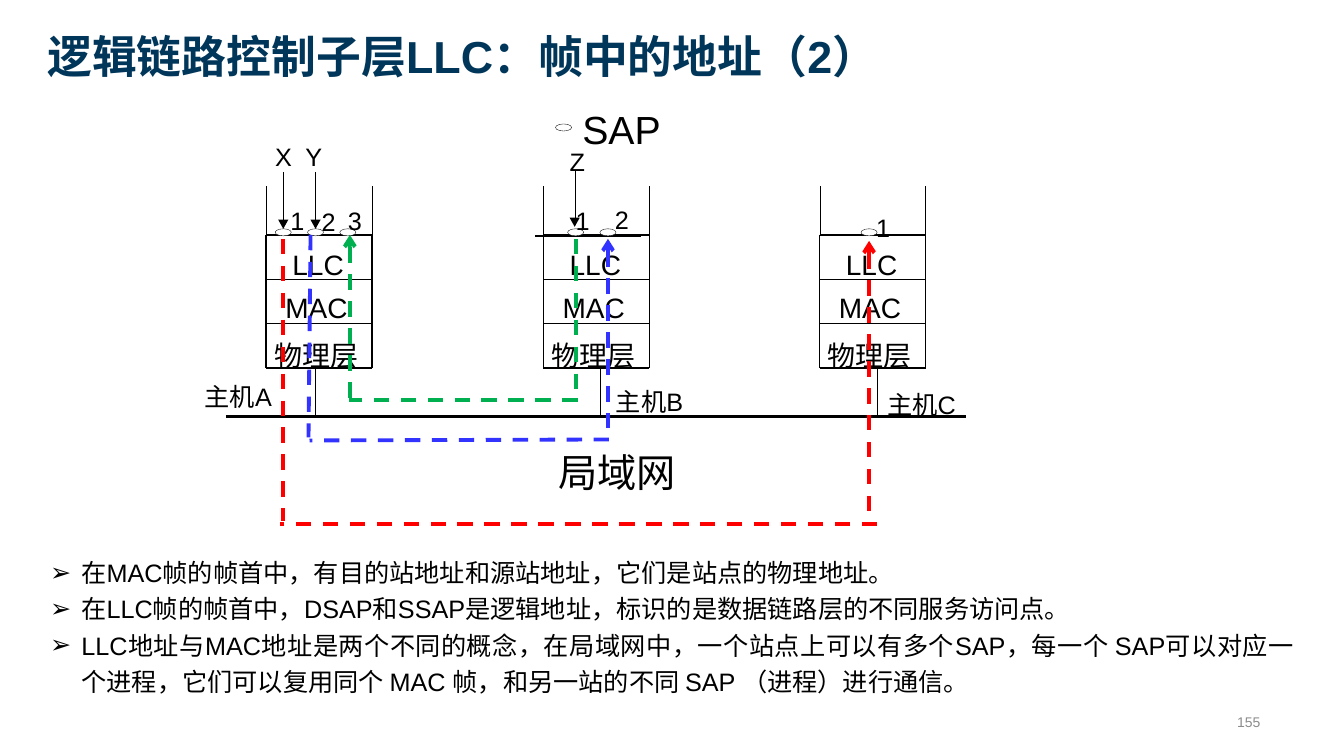
from dataclasses import dataclass

from lxml import etree
from pptx import Presentation
from pptx.dml.color import RGBColor
from pptx.enum import dml, lang, shapes, text
from pptx.oxml import ns

PX = 9144


@dataclass(frozen=True)
class Theme:
    font: str = "Arial"
    title: str = "003659"
    ink: str = "000000"
    paper: str = "FFFFFF"
    muted: str = "8C8C8C"
    red: str = "FF0000"
    blue: str = "3333FF"
    green: str = "00B050"
    title_size: int = 32
    large_size: int = 28
    layer_size: int = 20
    label_size: int = 18
    number_size: int = 10
    hair: float = 0.25
    thin: float = 0.55
    border: float = 1.05
    bus: float = 2.55
    route: float = 2.75


theme = Theme()
align = text.PP_ALIGN

presentation = Presentation()
presentation.slide_width = 1333 * PX
presentation.slide_height = 750 * PX
slide = presentation.slides.add_slide(presentation.slide_layouts[6])


def write(box, lines, size, color=theme.ink, alignment=align.JUSTIFY, wrap=True,
          anchor=text.MSO_ANCHOR.TOP, inset=0, spacing=1.2, bold=False, bullet=None):
    frame = slide.shapes.add_textbox(*(value * PX for value in box)).text_frame
    frame.word_wrap = wrap
    frame.vertical_anchor = anchor
    frame.margin_left = frame.margin_right = inset * PX
    frame.margin_top = frame.margin_bottom = inset // 2 * PX
    for index, line in enumerate(lines):
        paragraph = frame.add_paragraph() if index else frame.paragraphs[0]
        paragraph.alignment = alignment
        paragraph.line_spacing = spacing
        if bullet:
            properties = paragraph._p.get_or_add_pPr()
            properties.set("marL", str(31 * PX))
            properties.set("indent", str(-31 * PX))
            etree.SubElement(properties, ns.qn("a:buFont"), typeface=theme.font)
            etree.SubElement(properties, ns.qn("a:buChar"), char=bullet)
        run = paragraph.add_run()
        run.text = line
        run.font.name = theme.font
        run.font.size = int(size * 12700)
        run.font.bold = bold
        run.font.color.rgb = RGBColor.from_string(color)
        run.font.language_id = lang.MSO_LANGUAGE_ID.SIMPLIFIED_CHINESE


def draw_line(start_x, start_y, end_x, end_y, width, color=theme.ink, dashed=False, arrow=False):
    line = slide.shapes.add_connector(
        shapes.MSO_CONNECTOR.STRAIGHT, start_x * PX, start_y * PX, end_x * PX, end_y * PX)
    line.line.width = int(width * 12700)
    line.line.color.rgb = RGBColor.from_string(color)
    if dashed:
        line.line.dash_style = dml.MSO_LINE.DASH
    if arrow:
        etree.SubElement(line.line._get_or_add_ln(), ns.qn("a:headEnd"), type="arrow")
    etree.SubElement(line._element.spPr, ns.qn("a:effectLst"))


write((37, -11, 1188, 98), ["逻辑链路控制子层LLC：帧中的地址（2）"], theme.title_size, theme.title,
      align.LEFT, anchor=text.MSO_ANCHOR.BOTTOM, inset=10, bold=True)

stack_top, layer_height, stack_width = 233, 44, 105
stack_bottom = stack_top + 3 * layer_height
bus_y = 413
layers = [("LLC", 26, 239, 56), ("MAC", 19, 282, 66), ("物理层", 8, 329, 86)]
hosts = [
    (264, 313, "主机A", 203, 372, 67),
    (539, 595, "主机B", 611, 377, 67),
    (813, 870, "主机C", 880, 380, 69),
]
for left, drop_x, host, host_x, host_y, host_width in hosts:
    right = left + stack_width
    for layer, offset, top, width in layers:
        write((left + offset, top, width, 37), [layer], theme.layer_size, wrap=False)
    for row, weight in enumerate((theme.border, theme.thin, theme.thin, theme.border)):
        y = stack_top + row * layer_height
        draw_line(left, y, right, y, weight)
    for x in (left, right):
        draw_line(x, stack_top, x, stack_bottom, theme.border)
        draw_line(x, stack_top, x, 185, theme.hair)
    draw_line(drop_x, stack_bottom, drop_x, bus_y, theme.hair)
    write((host_x, host_y, host_width, 33), [host], theme.label_size)
draw_line(531, 234, 636, 234, theme.border)
draw_line(224, bus_y, 958, bus_y, theme.bus)

sap_ovals = [(273, 227), (305, 227), (337, 227), (563, 227), (595, 227), (854, 227), (551, 123)]
for left, top in sap_ovals:
    oval = slide.shapes.add_shape(
        shapes.MSO_SHAPE.OVAL, left * PX, top * PX, 16 * PX, 7 * PX)
    oval.shadow.inherit = False
    oval.fill.solid()
    oval.fill.fore_color.rgb = RGBColor.from_string(theme.paper)
    oval.line.color.rgb = RGBColor.from_string(theme.ink)
    oval.line.width = int(theme.hair * 12700)

sap_numbers = [("1", 288, 198), ("2", 319, 199), ("3", 345, 198),
               ("1", 571, 198), ("2", 610, 197), ("1", 869, 205)]
for number, left, top in sap_numbers:
    write((left, top, 14, 33), [number], theme.label_size, wrap=False)

processes = [("X", 273, 134, 281, 171), ("Y", 303, 134, 313, 171), ("Z", 565, 139, 570, 169)]
for process, left, top, x, y in processes:
    write((left, top, 17, 33), [process], theme.label_size, wrap=False)
    draw_line(x, y, x, y + 48, theme.hair)
    builder = slide.shapes.build_freeform(x - 5, y + 47, PX)
    builder.add_line_segments([(x, y + 56), (x + 5, y + 47)], close=True)
    arrowhead = builder.convert_to_shape()
    arrowhead.shadow.inherit = False
    arrowhead.fill.solid()
    arrowhead.fill.fore_color.rgb = RGBColor.from_string(theme.ink)
    arrowhead.line.fill.background()

write((554, 435, 118, 52), ["局域网"], theme.large_size, wrap=False)
write((576, 95, 81, 51), ["SAP"], theme.large_size, alignment=align.CENTER)

routes = [
    (theme.red, (281, 237, 281, 517), (862, 239, 862, 519), (870, 520, 278, 520)),
    (theme.blue, (308, 233, 306, 434), (603, 237, 603, 434), (604, 436, 307, 437)),
    (theme.green, (571, 237, 571, 398), (347, 233, 347, 395), (573, 397, 346, 397)),
]
for color, departure, arrival, crossing in routes:
    draw_line(*departure, theme.route, color, dashed=True)
    draw_line(*arrival, theme.route, color, dashed=True, arrow=True)
    draw_line(*crossing, theme.route, color, dashed=True)

notes = [
    "在MAC帧的帧首中，有目的站地址和源站地址，它们是站点的物理地址。",
    "在LLC帧的帧首中，DSAP和SSAP是逻辑地址，标识的是数据链路层的不同服务访问点。",
    "LLC地址与MAC地址是两个不同的概念，在局域网中，一个站点上可以有多个SAP，每一个 SAP可以对应"
    "一个进程，它们可以复用同个 MAC 帧，和另一站的不同 SAP （进程）进行通信。",
]
write((40, 542, 1253, 152), notes, theme.label_size, inset=10, bullet="➢")
write((850, 701, 410, 30), ["155"], theme.number_size, theme.muted, align.RIGHT,
      anchor=text.MSO_ANCHOR.MIDDLE, inset=10, spacing=1.0)

presentation.save("out.pptx")
